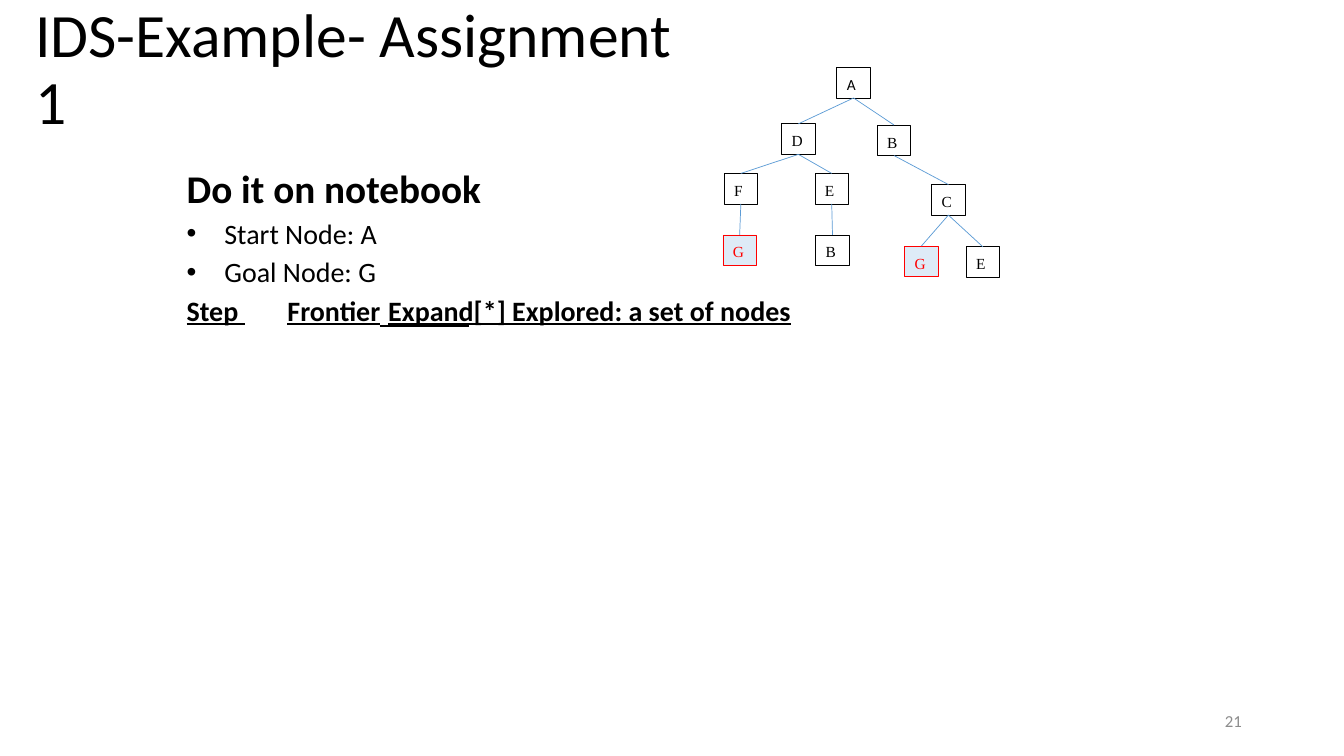
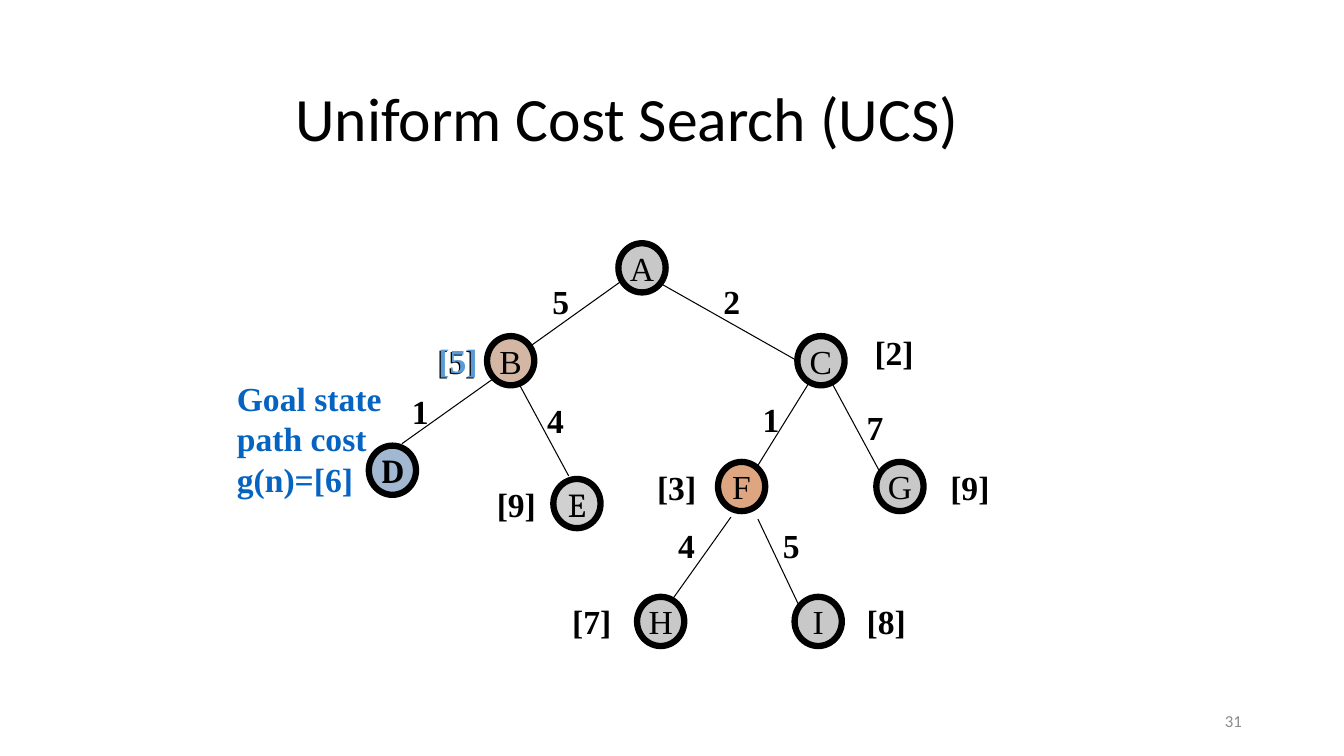
"""Build two slides on search trees: an IDS exercise and a uniform cost search."""
from lxml import etree
from pptx import Presentation
from pptx import util as u
from pptx.dml.color import RGBColor
from pptx.enum import shapes, text
from pptx.oxml.ns import qn

BLACK, WHITE, RED, GREY = "000000", "FFFFFF", "FF0000", "8C8C8C"
LIGHT_BLUE, PALE_BLUE, LINK_BLUE = "5B9BD5", "DEEBF7", "0563C1"
VISITED, FRONTIER, EXPANDED, BEST, GOAL = "C8C8C8", "D0D0D0", "D3B7A4", "DEA680", "A1B8D0"
SANS, SERIF, NODE_SERIF = "Calibri", "Times New Roman", "Cambria"
LEFT, CENTER, RIGHT = text.PP_ALIGN.LEFT, text.PP_ALIGN.CENTER, text.PP_ALIGN.RIGHT
TOP, MIDDLE = text.MSO_ANCHOR.TOP, text.MSO_ANCHOR.MIDDLE


def color(value):
    return RGBColor.from_string(value)


class Deck:
    """Hold the shared style and the current slide."""

    def __init__(self):
        self.presentation = Presentation()
        self.presentation.slide_width = u.Cm(33.87)
        self.presentation.slide_height = u.Cm(19.05)
        self.slide = None

    def add_slide(self, layout, title, left, top, width, number):
        self.slide = self.presentation.slides.add_slide(self.presentation.slide_layouts[layout])
        shape = self.slide.shapes.title
        self.place(shape, left, top, width, 3.18)
        self.set_text(shape, title, 44, anchor=MIDDLE).line_spacing = 0.9
        self.label(number, 23.93, 17.65, 7.62, 1.02, 12, SANS, GREY, RIGHT, MIDDLE)

    def place(self, shape, left, top, width, height):
        shape.left, shape.top = u.Cm(left), u.Cm(top)
        shape.width, shape.height = u.Cm(width), u.Cm(height)

    def style_paragraph(self, paragraph, size, font=SANS, ink=BLACK, bold=False, align=LEFT):
        paragraph.alignment = align
        paragraph.font.size = u.Pt(size)
        paragraph.font.name = font
        paragraph.font.bold = bold
        paragraph.font.color.rgb = color(ink)

    def set_text(self, shape, words, size, font=SANS, ink=BLACK, bold=False,
                 align=LEFT, anchor=TOP, wrap=True):
        frame = shape.text_frame
        frame.auto_size = text.MSO_AUTO_SIZE.NONE
        frame.word_wrap = wrap
        frame.vertical_anchor = anchor
        paragraph = frame.paragraphs[0]
        paragraph.text = words
        self.style_paragraph(paragraph, size, font, ink, bold, align)
        return paragraph

    def label(self, words, left, top, width, height, size=24, font=SERIF, ink=BLACK,
              align=LEFT, anchor=TOP, bold=False, wrap=True):
        shape = self.slide.shapes.add_textbox(u.Cm(left), u.Cm(top), u.Cm(width), u.Cm(height))
        self.set_text(shape, words, size, font, ink, bold, align, anchor, wrap)

    def node(self, preset, center, top, width, height, fill, line, weight):
        shape = self.slide.shapes.add_shape(
            preset, u.Cm(center - width / 2), u.Cm(top), u.Cm(width), u.Cm(height))
        shape.shadow.inherit = False
        shape.fill.solid()
        shape.fill.fore_color.rgb = color(fill)
        shape.line.color.rgb = color(line)
        shape.line.width = u.Pt(weight)
        return shape

    def box(self, letter, center, top, width, height, font, is_goal):
        ink, fill = (RED, PALE_BLUE) if is_goal else (BLACK, WHITE)
        shape = self.node(shapes.MSO_SHAPE.RECTANGLE, center, top, width, height, fill, ink, 0.5)
        paragraph = self.set_text(shape, letter, 11, font, ink, wrap=False)
        paragraph.line_spacing = 1.15
        paragraph.space_after = u.Pt(10)

    def circle(self, letter, center, middle, fill, font=SERIF, bold=False):
        width, height = 1.19, 1.24
        shape = self.node(shapes.MSO_SHAPE.OVAL, center, middle - height / 2,
                          width, height, fill, BLACK, 4.5)
        frame = shape.text_frame
        frame.margin_left = frame.margin_right = frame.margin_top = frame.margin_bottom = 0
        self.set_text(shape, letter, 24, font, BLACK, bold, CENTER, MIDDLE, False)

    def line(self, start_x, start_y, end_x, end_y, ink=BLACK, weight=0.75):
        connector = self.slide.shapes.add_connector(
            shapes.MSO_CONNECTOR.STRAIGHT, u.Cm(start_x), u.Cm(start_y), u.Cm(end_x), u.Cm(end_y))
        connector.line.color.rgb = color(ink)
        connector.line.width = u.Pt(weight)
        etree.SubElement(connector._element.spPr, qn("a:effectLst"))

    def body(self, items, left, top, width, height, tabs):
        shape = self.slide.placeholders[1]
        self.place(shape, left, top, width, height)
        frame = shape.text_frame
        frame.auto_size = text.MSO_AUTO_SIZE.NONE
        for index, (words, size, bulleted, bold, underlined) in enumerate(items):
            paragraph = frame.add_paragraph() if index else frame.paragraphs[0]
            paragraph.text = words
            properties = paragraph._p.get_or_add_pPr()
            indent = u.Cm(0.95) if bulleted else 0
            properties.set("marL", str(indent))
            properties.set("indent", str(-indent))
            if bulleted:
                etree.SubElement(properties, qn("a:buChar"), char="•")
            else:
                etree.SubElement(properties, qn("a:buNone"))
            if "\t" in words:
                tab_list = etree.SubElement(properties, qn("a:tabLst"))
                for tab in tabs:
                    etree.SubElement(tab_list, qn("a:tab"), pos=str(u.Cm(tab)), algn="l")
            paragraph.space_before = u.Pt(3.5 if index else 0)
            self.style_paragraph(paragraph, size, bold=bold)
            paragraph.font.underline = underlined


def add_ids_slide(deck):
    deck.add_slide(1, "IDS-Example- Assignment 1", 0.64, 0.2, 17.68, "21")
    deck.body([
        ("Do it on notebook", 28, False, True, False),
        ("Start Node: A", 20, True, False, False),
        ("Goal Node: G", 20, True, False, False),
        ("Step \tFrontier\tExpand[*] Explored: a set of nodes", 20, False, True, True),
    ], 4.45, 4.01, 24.77, 13.41, (2.54, 12.7))
    deck.line(9.57, 8.22, 11.81, 8.22, weight=1.5)
    width, height = 0.84, 0.77
    nodes = {
        "A": (21.51, 1.7), "AD": (20.12, 3.12), "AB": (22.53, 3.15),
        "ADF": (18.67, 4.37), "ADE": (20.96, 4.37), "ABC": (23.9, 4.65),
        "ADFG": (18.64, 5.92), "ADEB": (20.98, 5.92),
        "ABCG": (23.22, 6.2), "ABCE": (24.77, 6.22),
    }
    for route, (center, top) in nodes.items():
        letter = route[-1]
        deck.box(letter, center, top, width, height, SANS if route == "A" else SERIF, letter == "G")
        if route[:-1]:
            parent_center, parent_top = nodes[route[:-1]]
            deck.line(parent_center, parent_top + height, center, top, LIGHT_BLUE, 0.5)


def add_ucs_slide(deck):
    deck.add_slide(5, "Uniform Cost Search (UCS)", 7.19, 1.47, 21.59, "31")
    for circle in (
        ("A", 16.18, 6.75, VISITED), ("B", 12.87, 9.09, EXPANDED), ("C", 20.69, 9.09, VISITED),
        ("D", 9.89, 11.85, GOAL, NODE_SERIF, True), ("E", 14.54, 12.69, FRONTIER, NODE_SERIF),
        ("F", 18.69, 12.26, BEST), ("G", 22.68, 12.26, VISITED),
        ("H", 16.65, 15.66, VISITED), ("I", 20.62, 15.66, VISITED),
    ):
        deck.circle(*circle)
    for edge in (
        (15.65, 7.09, 13.34, 8.74), (16.64, 7.14, 20.09, 9.09),
        (12.45, 9.53, 10.13, 11.18), (13.11, 9.73, 14.33, 11.99),
        (20.4, 9.63, 19.08, 11.76), (20.98, 9.68, 22.2, 11.94),
        (18.42, 13.03, 16.94, 15.11), (19.1, 13.08, 20.14, 15.27),
    ):
        deck.line(*edge)
    step_costs = (
        ("5", 13.67, 6.96), ("2", 17.98, 6.96), ("1", 10.13, 9.73), ("4", 13.54, 9.96),
        ("1", 18.97, 9.93), ("7", 21.59, 10.13), ("4", 16.84, 13.11), ("5", 19.48, 13.11),
    )
    path_costs = (
        ("[5]", 10.77, 8.46), ("[2]", 21.79, 8.23), ("[9]", 12.27, 12.07), ("[3]", 16.31, 11.63),
        ("[9]", 23.7, 11.63), ("[7]", 14.17, 15.01), ("[8]", 21.59, 15.01),
    )
    for costs, width in ((step_costs, 0.94), (path_costs, 1.5)):
        for cost, left, top in costs:
            deck.label(cost, left, top, width, 1.27, bold=True, wrap=False)
    deck.label("[5]", 10.8, 8.44, 1.5, 1.27, ink=LIGHT_BLUE, bold=True, wrap=False)
    deck.label("Goal state path cost g(n)=[6]", 5.72, 9.4, 4.24, 3.33, ink=LINK_BLUE, bold=True)


def main():
    deck = Deck()
    add_ids_slide(deck)
    add_ucs_slide(deck)
    deck.presentation.save("out.pptx")


if __name__ == "__main__":
    main()
